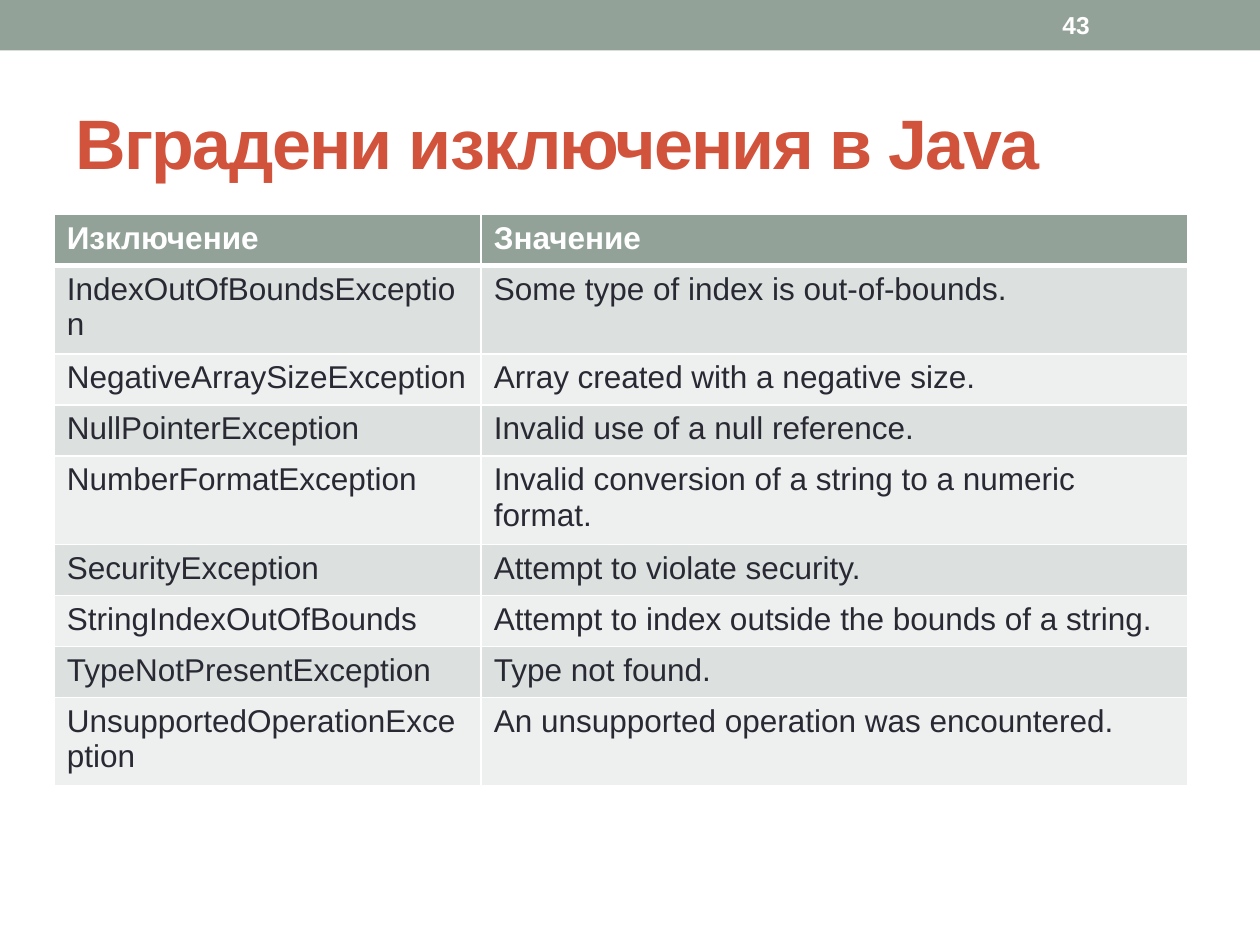
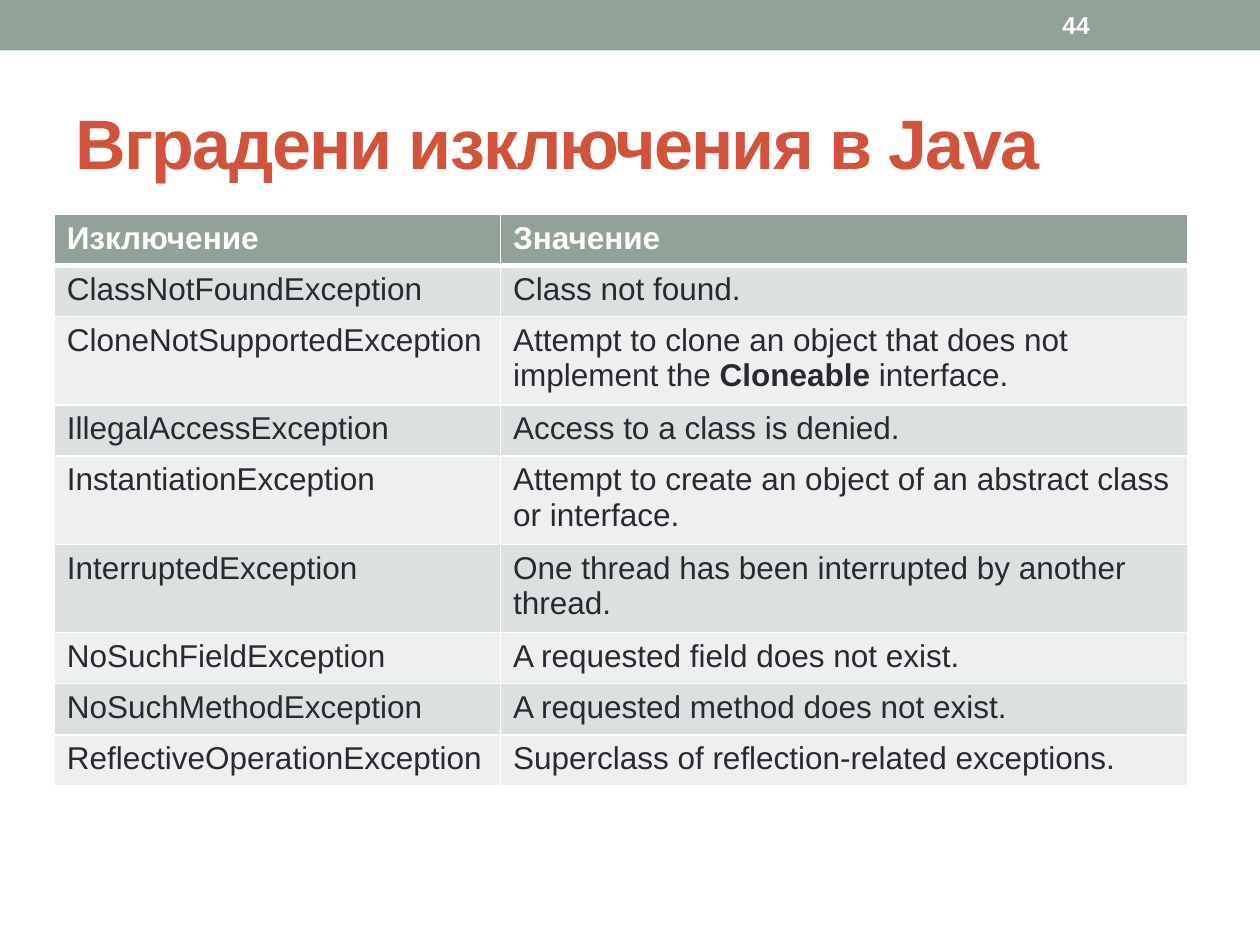
from pptx import Presentation, util as u
from pptx.dml.color import RGBColor
from pptx.enum import shapes, text
from pptx.oxml.ns import qn
from lxml import etree

COLORS = {"sage": "93A299", "title": "D2533C", "ink": "292934", "white": "FFFFFF",
          "dark_row": "DCE0DE", "light_row": "EEF0EF"}
FONT = "Arial"
TITLE = "Вградени изключения в Java"
HEADINGS = ("Изключение", "Значение")
SLIDES = [
    {"number": 43, "name_width": 244, "exceptions": [
        ("IndexOutOfBoundsException", "Some type of index is out-of-bounds."),
        ("NegativeArraySizeException", "Array created with a negative size."),
        ("NullPointerException", "Invalid use of a null reference."),
        ("NumberFormatException", "Invalid conversion of a string to a numeric format."),
        ("SecurityException", "Attempt to violate security."),
        ("StringIndexOutOfBounds", "Attempt to index outside the bounds of a string."),
        ("TypeNotPresentException", "Type not found."),
        ("UnsupportedOperationException", "An unsupported operation was encountered."),
    ]},
    {"number": 44, "name_width": 255, "exceptions": [
        ("ClassNotFoundException", "Class not found."),
        ("CloneNotSupportedException",
         "Attempt to clone an object that does not implement the **Cloneable **interface."),
        ("IllegalAccessException", "Access to a class is denied."),
        ("InstantiationException",
         "Attempt to create an object of an abstract class or interface."),
        ("InterruptedException", "One thread has been interrupted by another thread."),
        ("NoSuchFieldException", "A requested field does not exist."),
        ("NoSuchMethodException", "A requested method does not exist."),
        ("ReflectiveOperationException", "Superclass of reflection-related exceptions."),
    ]},
]
WIDTH, HEIGHT, BAND_HEIGHT = 720, 540, 28.8
TABLE_LEFT, TABLE_TOP, TABLE_WIDTH, ROW_HEIGHT = 31, 122.6, 648, 29.2


def rgb(name):
    return RGBColor.from_string(COLORS[name])


def write(frame, words, size=18, color="ink", bold=False, spacing=None):
    for i, part in enumerate(words.split("**")):
        if not part:
            continue
        run = frame.paragraphs[0].add_run()
        run.text = part
        run.font.name = FONT
        run.font.size = u.Pt(size)
        run.font.bold = bold or i % 2 == 1
        run.font.color.rgb = rgb(color)
        if spacing is not None:
            run.font._element.set("spc", str(spacing * 100))


def add_label(slide, box, words, **style):
    frame = slide.shapes.add_textbox(*map(u.Pt, box)).text_frame
    frame.word_wrap = True
    frame.vertical_anchor = text.MSO_ANCHOR.MIDDLE
    write(frame, words, **style)


def add_band(slide):
    band = slide.shapes.add_shape(shapes.MSO_SHAPE.RECTANGLE, 0, 0, u.Pt(WIDTH), u.Pt(BAND_HEIGHT))
    band.shadow.inherit = False
    band.fill.solid()
    band.fill.fore_color.rgb = rgb("sage")
    band.line.fill.background()


def set_borders(cell, top, bottom):
    props = cell._tc.get_or_add_tcPr()
    for side, width in (("L", 1), ("R", 1), ("T", top), ("B", bottom)):
        line = etree.SubElement(props, qn("a:ln" + side), w=str(u.Pt(width)))
        fill = etree.SubElement(line, qn("a:solidFill"))
        etree.SubElement(fill, qn("a:srgbClr"), val=COLORS["white"])


def add_exceptions(slide, exceptions, name_width):
    rows = [HEADINGS, *exceptions]
    table = slide.shapes.add_table(len(rows), 2, *map(u.Pt, (
        TABLE_LEFT, TABLE_TOP, TABLE_WIDTH, ROW_HEIGHT * len(rows)))).table
    for column, width in zip(table.columns, (name_width, TABLE_WIDTH - name_width)):
        column.width = u.Pt(width)
    for r, row in enumerate(rows):
        table.rows[r].height = u.Pt(ROW_HEIGHT)
        heading = r == 0
        background = "sage" if heading else "dark_row" if r % 2 else "light_row"
        for c, words in enumerate(row):
            cell = table.cell(r, c)
            set_borders(cell, top=3 if r == 1 else 1, bottom=3 if heading else 1)
            cell.fill.solid()
            cell.fill.fore_color.rgb = rgb(background)
            write(cell.text_frame, words, color="white" if heading else "ink", bold=heading)


deck = Presentation()
deck.slide_width, deck.slide_height = u.Pt(WIDTH), u.Pt(HEIGHT)
for content in SLIDES:
    slide = deck.slides.add_slide(deck.slide_layouts[6])
    add_band(slide)
    add_label(slide, (36, 42, 684, 78), TITLE, size=40, color="title", bold=True, spacing=-1)
    add_exceptions(slide, content["exceptions"], content["name_width"])
    add_label(slide, (600, 1.4, 84, 26), str(content["number"]), size=14, color="white", bold=True)
deck.save("out.pptx")
